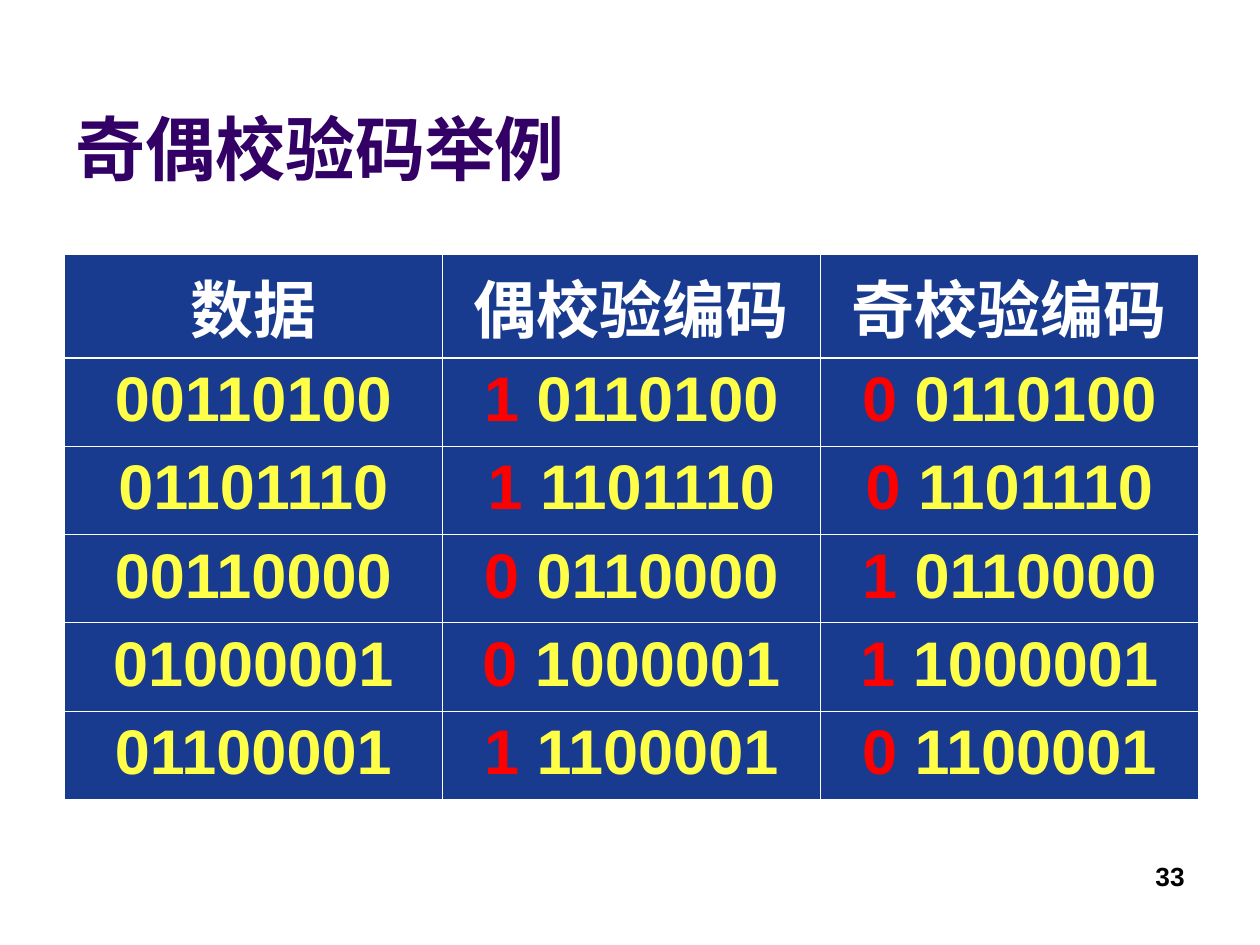
"""Build a slide with a table of even and odd parity code examples."""
from dataclasses import dataclass

import pptx
import pptx.dml.color
import pptx.enum.text
import pptx.oxml
import pptx.oxml.ns
import pptx.util

Inches = pptx.util.Inches
Align = pptx.enum.text.PP_ALIGN
Anchor = pptx.enum.text.MSO_ANCHOR

LATIN_FONT = "Arial"
CHINESE_FONT = "Noto Sans CJK SC"
WHITE, BLACK, PURPLE = "FFFFFF", "000000", "330066"
BLUE, YELLOW, RED = "193B8F", "FFFF47", "FF0000"
THIN, THICK = 0.45, 1.47
HEADINGS = ["数据", "偶校验编码", "奇校验编码"]
DATA_WORDS = ["00110100", "01101110", "00110000", "01000001", "01100001"]


@dataclass(frozen=True)
class Run:
    text: str
    color: str


@dataclass(frozen=True)
class Label:
    run: Run
    left: float
    top: float
    width: float
    height: float
    size: float
    font: str
    anchor: Anchor
    paragraph_format: dict


LABELS = [
    Label(Run("奇偶校验码举例", PURPLE), 0.5, 0.13, 8.25, 1.42, 40, CHINESE_FONT,
          Anchor.BOTTOM, {"alignment": Align.LEFT}),
    Label(Run("33", BLACK), 8.39, 6.83, 1.11, 0.38, 15, LATIN_FONT,
          Anchor.TOP, {"alignment": Align.RIGHT, "line_spacing": 0.8}),
]


def rgb(color: str) -> pptx.dml.color.RGBColor:
    return pptx.dml.color.RGBColor.from_string(color)


def set_attributes(target, values: dict) -> None:
    for name, value in values.items():
        setattr(target, name, value)


def add_run(paragraph, run: Run, size: float, font: str) -> None:
    text_run = paragraph.add_run()
    text_run.text = run.text
    set_attributes(text_run.font, {"size": pptx.util.Pt(size), "bold": True, "name": font})
    text_run.font.color.rgb = rgb(run.color)
    east_asian = pptx.oxml.parse_xml(
        f'<a:ea {pptx.oxml.ns.nsdecls("a")} typeface="{CHINESE_FONT}"/>')
    text_run.font._element.find(pptx.oxml.ns.qn("a:latin")).addnext(east_asian)


def add_label(slide, label: Label) -> None:
    box = slide.shapes.add_textbox(*map(Inches, (label.left, label.top, label.width, label.height)))
    set_attributes(box.text_frame, {"word_wrap": True, "vertical_anchor": label.anchor})
    paragraph = box.text_frame.paragraphs[0]
    set_attributes(paragraph, label.paragraph_format)
    add_run(paragraph, label.run, label.size, label.font)


def set_borders(cell, widths: dict[str, float]) -> None:
    properties = cell._tc.get_or_add_tcPr()
    for side, width in widths.items():
        properties.append(pptx.oxml.parse_xml(
            f'<a:ln{side} {pptx.oxml.ns.nsdecls("a")} w="{pptx.util.Pt(width)}">'
            f'<a:solidFill><a:srgbClr val="{WHITE}"/></a:solidFill></a:ln{side}>'))


def fill_cell(cell, runs: list[Run], top: float, bottom: float) -> None:
    set_borders(cell, {"L": THIN, "R": THIN, "T": top, "B": bottom})
    cell.fill.solid()
    cell.fill.fore_color.rgb = rgb(BLUE)
    paragraph = cell.text_frame.paragraphs[0]
    paragraph.alignment = Align.CENTER
    for run in runs:
        add_run(paragraph, run, 36, LATIN_FONT)


def code_row(word: str) -> list[list[Run]]:
    """Return the data word and its even and odd parity codes."""
    payload = word[1:]
    even_bit = payload.count("1") % 2
    codes = [[Run(str(bit), RED), Run(f" {payload}", YELLOW)] for bit in (even_bit, 1 - even_bit)]
    return [[Run(word, YELLOW)], *codes]


def add_parity_table(slide) -> None:
    rows = [[[Run(heading, WHITE)] for heading in HEADINGS], *map(code_row, DATA_WORDS)]
    frame = slide.shapes.add_table(len(rows), len(HEADINGS), Inches(0.51), Inches(2.02),
                                   Inches(3 * len(HEADINGS)), Inches(0.7 * len(rows)))
    table = frame.table
    set_attributes(table, {"first_row": False, "horz_banding": False})
    for row_index, row in enumerate(rows):
        top = THICK if row_index == 1 else THIN
        bottom = THICK if row_index == 0 else THIN
        for column_index, runs in enumerate(row):
            fill_cell(table.cell(row_index, column_index), runs, top, bottom)


def main() -> None:
    presentation = pptx.Presentation()
    set_attributes(presentation, {"slide_width": Inches(10), "slide_height": Inches(7.5)})
    slide = presentation.slides.add_slide(presentation.slide_layouts[6])
    add_parity_table(slide)
    for label in LABELS:
        add_label(slide, label)
    presentation.save("out.pptx")


if __name__ == "__main__":
    main()
